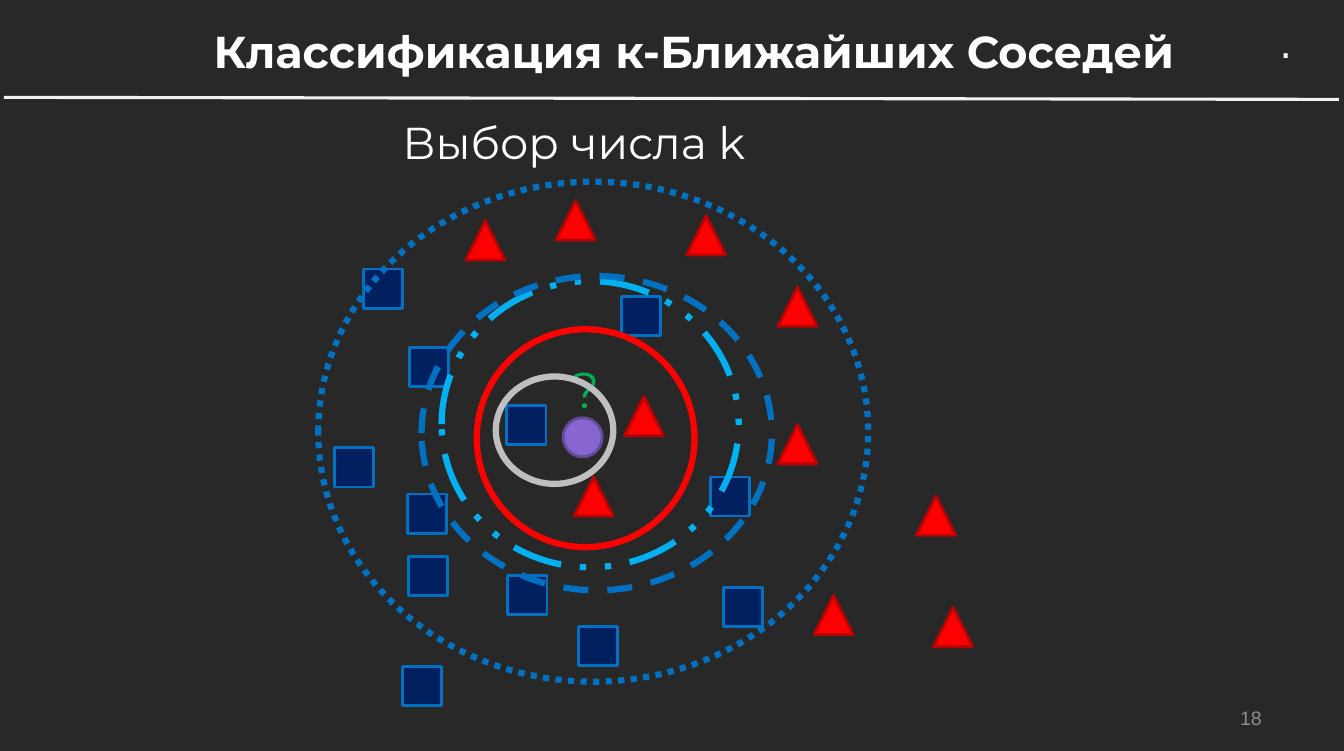
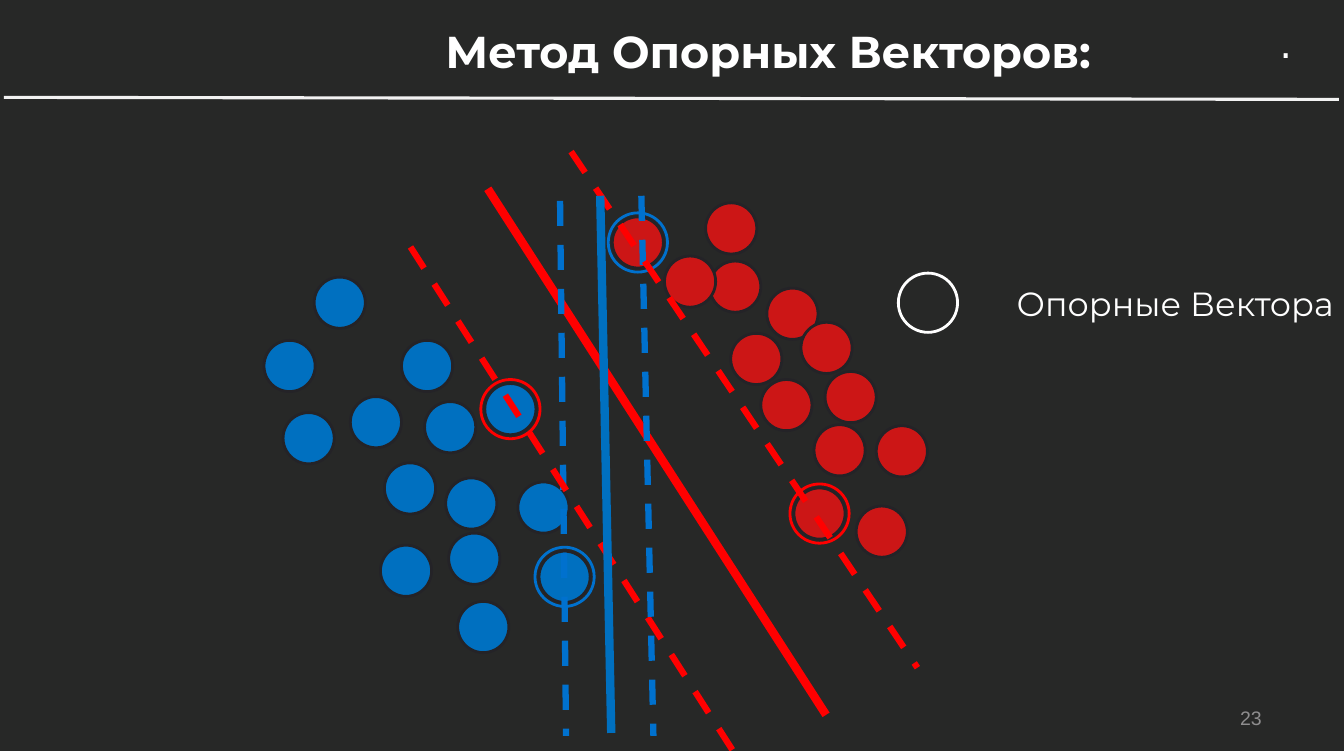
import pptx
import pptx.dml.color
import pptx.enum.dml
import pptx.enum.shapes
import pptx.enum.text
import pptx.oxml
import pptx.oxml.ns
import pptx.util

Inches = pptx.util.Inches
SHAPE = pptx.enum.shapes.MSO_SHAPE
DASH = pptx.enum.dml.MSO_LINE
ALIGN = pptx.enum.text.PP_ALIGN

MARKER_SIZE = 0.39
DOT_SIZE = 0.51
RING_SIZE = 0.59
WHITE = "FFFFFF"
RED = "FF0000"
BLUE = "0070C0"
RING_BLUE = "0071CE"


def color(value):
    return pptx.dml.color.RGBColor.from_string(value)


class Deck:
    """Holds the shared style and the slide being drawn."""

    background = "272827"
    font = "Montserrat"

    def __init__(self):
        self.presentation = pptx.Presentation()
        self.presentation.slide_width = Inches(13.39)
        self.presentation.slide_height = Inches(7.48)
        self.slide = None

    def add_slide(self, title, title_left, title_width, number):
        layout = self.presentation.slide_layouts[6]
        self.slide = self.presentation.slides.add_slide(layout)
        fill = self.slide.background.fill
        fill.solid()
        fill.fore_color.rgb = color(self.background)
        self.text(number, 9.56, 6.95, 3.11, 0.4, 14, tint="8E8D8E", font="Arial",
                  align=ALIGN.RIGHT, anchor=pptx.enum.text.MSO_ANCHOR.MIDDLE)
        self.line((0.04, 0.97), (13.34, 0.99), "F2F2F2", 2.25)
        self.text(".", 12.65, 0.15, 0.34, 0.57, 27.9, font="DejaVu Sans", wrap=False)
        self.text(title, title_left, 0.19, title_width, 0.53, 32, bold=True,
                  align=ALIGN.CENTER)

    def text(self, content, left, top, width, height, size, tint=WHITE, font=None,
             bold=False, align=ALIGN.LEFT, anchor=pptx.enum.text.MSO_ANCHOR.TOP, wrap=True):
        box = self.slide.shapes.add_textbox(
            Inches(left), Inches(top), Inches(width), Inches(height))
        auto = pptx.enum.text.MSO_AUTO_SIZE
        frame_format = {
            "word_wrap": wrap,
            "vertical_anchor": anchor,
            "auto_size": auto.NONE if wrap else auto.SHAPE_TO_FIT_TEXT,
        }
        for name, value in frame_format.items():
            setattr(box.text_frame, name, value)
        paragraph = box.text_frame.paragraphs[0]
        paragraph.alignment = align
        run = paragraph.add_run()
        run.text = content
        font_format = {"name": font or self.font, "size": pptx.util.Pt(size), "bold": bold}
        for name, value in font_format.items():
            setattr(run.font, name, value)
        run.font.color.rgb = color(tint)

    def stroke(self, line, tint, weight, dash):
        line.color.rgb = color(tint)
        for name, value in {"width": pptx.util.Pt(weight), "dash_style": dash}.items():
            setattr(line, name, value)

    def shape(self, kind, left, top, width, height, outline, weight=2, fill=None, dash=None):
        shape = self.slide.shapes.add_shape(
            kind, Inches(left), Inches(top), Inches(width), Inches(height))
        shape.shadow.inherit = False
        if fill:
            shape.fill.solid()
            shape.fill.fore_color.rgb = color(fill)
        else:
            shape.fill.background()
        self.stroke(shape.line, outline, weight, dash)

    def markers(self, kind, positions, size, fill, outline):
        for left, top in positions:
            self.shape(kind, left, top, size, size, outline, fill=fill)

    def rings(self, dots, outline):
        margin = (RING_SIZE - DOT_SIZE) / 2
        positions = [(left - margin, top - margin) for left, top in dots]
        self.markers(SHAPE.OVAL, positions, RING_SIZE, None, outline)

    def line(self, start, end, tint, weight, dash=None):
        connector = self.slide.shapes.add_connector(
            pptx.enum.shapes.MSO_CONNECTOR.STRAIGHT,
            *(Inches(value) for value in (*start, *end)))
        self.stroke(connector.line, tint, weight, dash)
        properties = connector.element.spPr
        properties.append(pptx.oxml.parse_xml(
            "<a:effectLst %s/>" % pptx.oxml.ns.nsdecls("a")))


def draw_neighbours(deck):
    deck.add_slide("Классификация к-Ближайших Соседей", 1.97, 9.89, "18")
    squares = [
        (5.05, 4.04), (6.19, 2.95), (7.08, 4.75), (3.62, 2.68), (4.07, 5.54),
        (5.76, 6.24), (7.21, 5.85), (4.01, 6.64), (5.06, 5.73), (4.06, 4.92),
        (3.33, 4.46), (4.08, 3.46),
    ]
    triangles = [
        (5.54, 2), (6.22, 3.95), (4.64, 2.2), (6.84, 2.15), (7.75, 4.23),
        (9.13, 4.94), (8.11, 5.93), (5.72, 4.75), (9.3, 6.05), (7.75, 2.86),
    ]
    deck.markers(SHAPE.RECTANGLE, squares, MARKER_SIZE, "002060", BLUE)
    deck.markers(SHAPE.ISOSCELES_TRIANGLE, triangles, MARKER_SIZE, "FD0002", "BB0001")
    deck.markers(SHAPE.OVAL, [(5.61, 4.16)], MARKER_SIZE, "8766D0", "644B9A")
    deck.text("?", 5.59, 3.52, 0.49, 0.71, 36, tint="00B050", wrap=False)
    neighbourhoods = [
        (4.75, 3.28, 2.17, 2.17, RED, None),
        (4.4, 2.8, 2.96, 2.85, "00B0F0", DASH.DASH_DOT_DOT),
        (4.2, 2.75, 3.49, 3.13, BLUE, DASH.DASH),
        (3.17, 1.81, 5.48, 4.98, BLUE, DASH.ROUND_DOT),
        (4.94, 3.75, 1.17, 1.07, "BFBFBF", None),
    ]
    for left, top, width, height, outline, dash in neighbourhoods:
        deck.shape(SHAPE.OVAL, left, top, width, height, outline, 4.5, dash=dash)
    deck.text("Выбор числа k", 3.91, 1.1, 3.66, 0.64, 32, wrap=False)


def draw_support_vectors(deck):
    deck.add_slide("Метод Опорных Векторов:", 3.44, 8.43, "23")
    deck.markers(SHAPE.OVAL, [(8.95, 2.72)], RING_SIZE, None, WHITE)
    deck.text("Опорные Вектора", 10.03, 2.77, 3.41, 0.5, 24, wrap=False)
    blue_dots = [
        (3.83, 4.61), (4.23, 4), (5.37, 5.49), (4.44, 4.76), (5.16, 4.8),
        (4.47, 5.31), (4, 3.39), (4.83, 3.82), (2.63, 3.39), (3.13, 2.76),
        (2.82, 4.11), (4.56, 5.99), (3.79, 5.43), (3.49, 3.95),
    ]
    red_dots = [
        (7.03, 2.02), (7.07, 2.6), (7.64, 2.87), (8.22, 3.7), (8.73, 4.24),
        (8.53, 5.04), (7.58, 3.78), (7.91, 4.86), (8.11, 4.23), (7.28, 3.32),
        (6.1, 2.16), (6.62, 2.55), (7.98, 3.21),
    ]
    for dots, fill in ((blue_dots, BLUE), (red_dots, "CC1616")):
        deck.markers(SHAPE.OVAL, dots, DOT_SIZE, fill, "242327")
    deck.rings([(6.1, 2.16), (5.37, 5.49)], RING_BLUE)
    boundaries = [
        ((4.86, 1.88), (8.23, 7.12), RED, 6, None),
        ((5.58, 2), (5.64, 7.33), RING_BLUE, 4.5, DASH.DASH),
        ((4.09, 2.46), (7.31, 7.49), RED, 4.5, DASH.DASH),
        ((6.39, 1.95), (6.51, 7.33), RING_BLUE, 4.5, DASH.DASH),
        ((5.69, 1.51), (9.14, 6.65), RED, 4.5, DASH.DASH),
        ((5.98, 1.95), (6.09, 7.3), BLUE, 6, None),
    ]
    for boundary in boundaries:
        deck.line(*boundary)
    deck.rings([(4.83, 3.82), (7.91, 4.86)], RED)


def main():
    deck = Deck()
    draw_neighbours(deck)
    draw_support_vectors(deck)
    deck.presentation.save("out.pptx")


if __name__ == "__main__":
    main()
